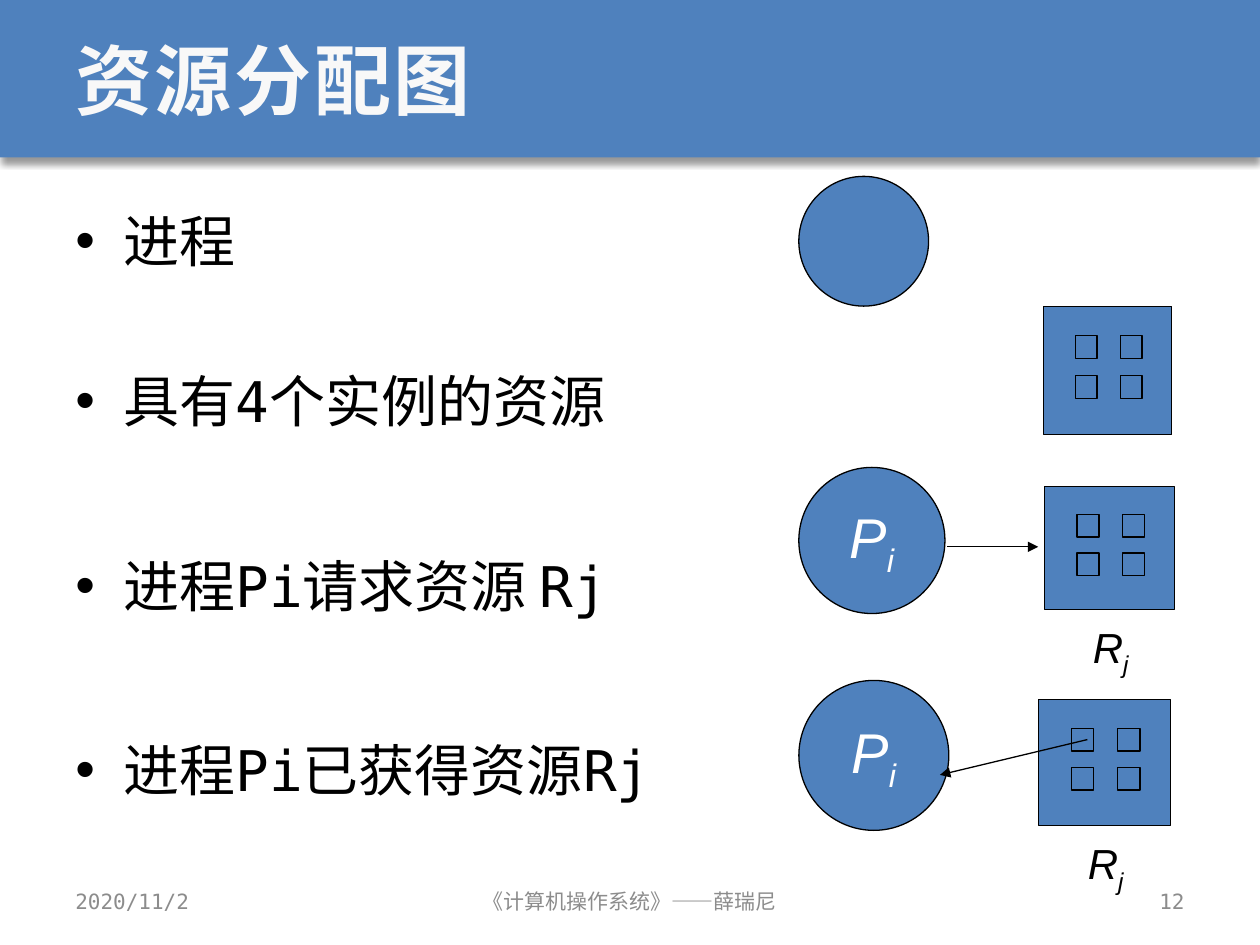
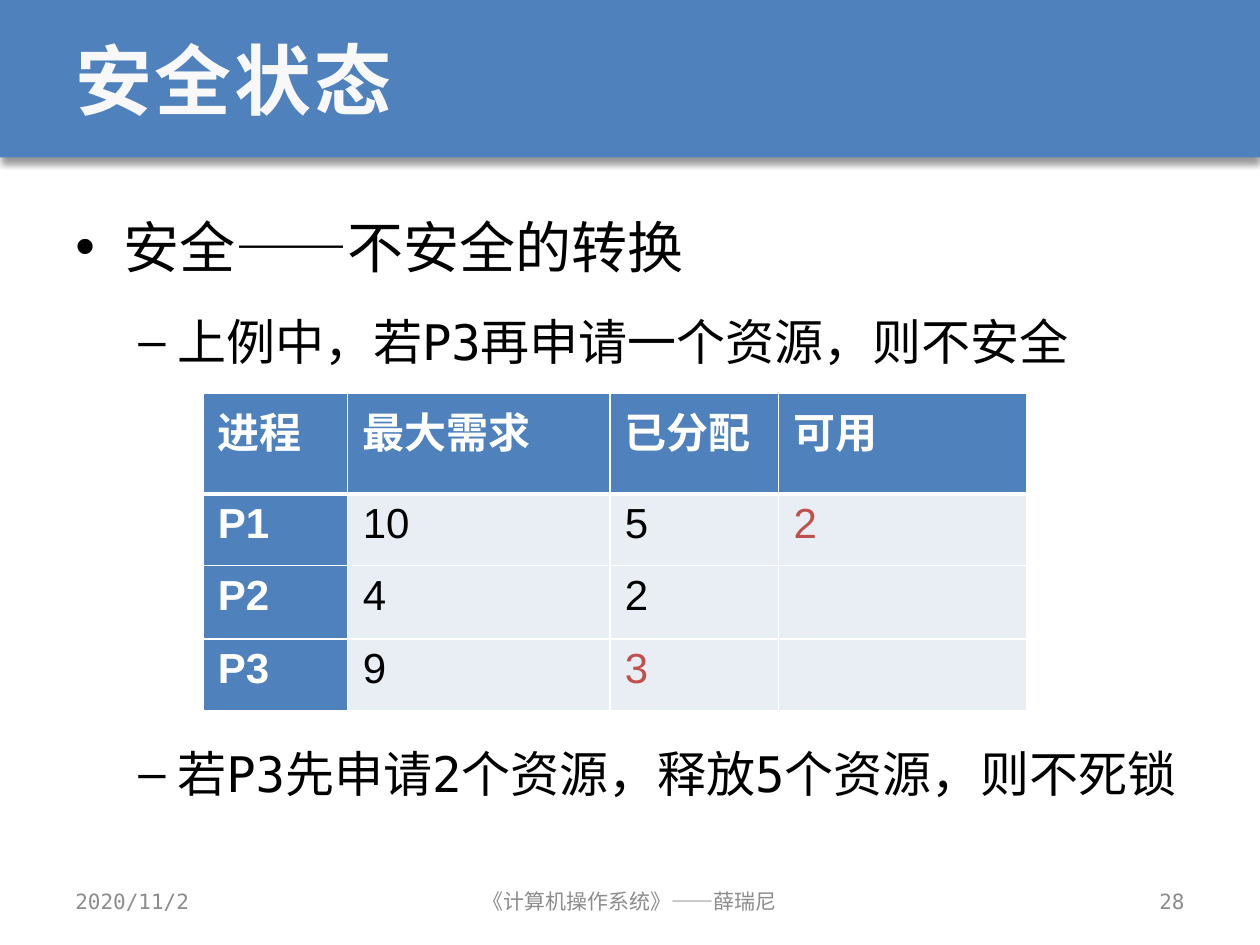
from dataclasses import dataclass
from itertools import product

from lxml.etree import SubElement
from pptx import Presentation
from pptx.dml.color import RGBColor as Rgb
from pptx.enum.shapes import MSO_CONNECTOR as Conn, MSO_SHAPE as Kind
from pptx.enum.text import MSO_ANCHOR as Anchor, PP_ALIGN as Align
from pptx.oxml.ns import qn
from pptx.util import Inches, Pt


@dataclass(frozen=True)
class Theme:
    """Colours, fonts and type sizes of the deck."""
    blue: str = "4F81BD"
    pale: str = "E9EDF4"
    red: str = "C0504D"
    white: str = "FFFFFF"
    black: str = "000000"
    gray: str = "8C8C8C"
    head: str = "F8F8F8"
    mono: str = "DejaVu Sans Mono"
    sans: str = "Arial"
    title: int = 44
    big: int = 32
    mid: int = 28
    cell: int = 24
    foot: int = 12
    line: float = 0.75


@dataclass(frozen=True)
class Box:
    """A region in units of a grid of 100 columns and 75 rows."""
    x: float
    y: float
    w: float
    h: float

    def share(self, x, y, w, h):
        """Return the region at the given shares of this one."""
        return Box(self.x + x * self.w, self.y + y * self.h,
                   w * self.w, h * self.h)

    def emu(self):
        """Return left, top, width and height as lengths."""
        return [unit(v) for v in (self.x, self.y, self.w, self.h)]


T = Theme()
PAGE = Box(0, 0, 100, 75)
BAND = Box(0, 0, 100, 12.5)
BODY = Box(5, 14.8, 90, 53.3)
FOOT = Box(5, 69.5, 90, 4)
GRID = Box(16.1, 31.2, 65.4, 25.2)
LEVELS = (("•", 0.38, -0.38, T.big), ("–", 0.81, -0.31, T.mid))


def unit(num):
    """Turn grid units into a length."""
    return Inches(num / 10)


def style(para, size, color, name=T.mono, bold=False, ital=False):
    """Set the font of a paragraph."""
    font = para.font
    font.size, font.name = Pt(size), name
    font.bold, font.italic = bold, ital
    font.color.rgb = Rgb.from_string(color)


def draw(slide, kind, box, edge=True):
    """Add a blue shape with a thin outline or none."""
    shape = slide.shapes.add_shape(kind, *box.emu())
    shape.shadow.inherit = False
    shape.fill.solid()
    shape.fill.fore_color.rgb = Rgb.from_string(T.blue)
    if edge:
        shape.line.color.rgb = Rgb.from_string(T.black)
        shape.line.width = Pt(T.line)
    else:
        shape.line.fill.background()
    return shape


def write(slide, box, text="", anchor=Anchor.MIDDLE, align=Align.LEFT):
    """Add a wrapping text box and return its frame."""
    frame = slide.shapes.add_textbox(*box.emu()).text_frame
    frame.word_wrap = True
    frame.vertical_anchor = anchor
    para = frame.paragraphs[0]
    para.text, para.alignment = text, align
    return frame


def banner(slide, box, text):
    """Draw the title band with its soft shadow."""
    band = draw(slide, Kind.RECTANGLE, box, edge=False)
    effect = band._element.spPr.find(qn("a:effectLst"))
    shade = SubElement(effect, qn("a:outerShdw"), blurRad=str(Pt(4)),
                       dist=str(Pt(3)), dir="5400000", rotWithShape="0")
    tint = SubElement(shade, qn("a:srgbClr"), val=T.black)
    SubElement(tint, qn("a:alpha"), val="40000")
    para = write(slide, box.share(0.05, 0, 0.9, 1), text).paragraphs[0]
    style(para, T.title, T.head, bold=True)
    para.font._element.set("spc", "150")


def footer(slide, box, num):
    """Write date, course and page number along the foot."""
    items = (("2020/11/2", 0, 0.26, Align.LEFT),
             ("《计算机操作系统》——薛瑞尼", 0.32, 0.36, Align.CENTER),
             (str(num), 0.74, 0.26, Align.RIGHT))
    for text, left, wide, align in items:
        frame = write(slide, box.share(left, 0, wide, 1), text, align=align)
        style(frame.paragraphs[0], T.foot, T.gray)


def bullets(slide, box, items, lead):
    """Write bullets given as level, space before and text."""
    frame = write(slide, box, anchor=Anchor.TOP)
    for i, (level, gap, text) in enumerate(items):
        para = frame.add_paragraph() if i else frame.paragraphs[0]
        mark, left, hang, size = LEVELS[level]
        para.text, para.level = text, level
        props = para._p.get_or_add_pPr()
        props.set("marL", str(Inches(left)))
        props.set("indent", str(Inches(hang)))
        SubElement(props, qn("a:buFont"), typeface=T.sans)
        SubElement(props, qn("a:buChar"), char=mark)
        para.line_spacing, para.space_before = lead, Pt(gap)
        style(para, size, T.black)


def label(frame, name, sub, size, color):
    """Write an italic name with a lowered index."""
    frame.word_wrap = False
    frame.vertical_anchor = Anchor.MIDDLE
    para = frame.paragraphs[0]
    para.alignment = Align.CENTER
    para.add_run().text = name
    low = para.add_run()
    low.text = sub
    low._r.get_or_add_rPr().set("baseline", "-25000")
    style(para, size, color, T.sans, ital=True)


def process(slide, box, named=True):
    """Draw a process as a circle."""
    disc = draw(slide, Kind.OVAL, box)
    if named:
        label(disc.text_frame, "P", "i", T.big, T.white)


def resource(slide, box, named=True):
    """Draw a resource with four instances and its name below."""
    draw(slide, Kind.RECTANGLE, box)
    for row, col in product(range(2), repeat=2):
        spot = box.share(0.25 + 0.35 * col, 0.23 + 0.31 * row, 0.17, 0.18)
        draw(slide, Kind.RECTANGLE, spot)
    if named:
        frame = write(slide, box.share(0.27, 1.07, 0.48, 0.51))
        label(frame, "R", "j", T.cell, T.black)


def arrow(slide, start, end):
    """Draw a thin arrow between two grid points."""
    link = slide.shapes.add_connector(
        Conn.STRAIGHT, *(unit(v) for v in (*start, *end)))
    link.line.color.rgb = Rgb.from_string(T.black)
    link.line.width = Pt(T.line)
    SubElement(link.line._get_or_add_ln(), qn("a:tailEnd"), type="triangle")
    SubElement(link._element.spPr, qn("a:effectLst"))


def border(cell, under):
    """Give a cell white borders, with its own lower width."""
    props = cell._tc.get_or_add_tcPr()
    for side, width in (("L", 1), ("R", 1), ("T", 1), ("B", under)):
        line = SubElement(props, qn(f"a:ln{side}"), w=str(Pt(width)))
        fill = SubElement(line, qn("a:solidFill"))
        SubElement(fill, qn("a:srgbClr"), val=T.white)


def table(slide, box, data, cols, rows, marks):
    """Fill a table whose first row and column are headings."""
    grid = slide.shapes.add_table(len(rows), len(cols), *box.emu()).table
    for col, wide in zip(grid.columns, cols):
        col.width = unit(wide)
    for row, high in zip(grid.rows, rows):
        row.height = unit(high)
    for r, c in product(range(len(rows)), range(len(cols))):
        cell, head = grid.cell(r, c), r == 0 or c == 0
        border(cell, 1 if r else 3)
        cell.fill.solid()
        cell.fill.fore_color.rgb = Rgb.from_string(T.blue if head else T.pale)
        cell.margin_left = cell.margin_right = Inches(0.12)
        cell.text = data[r][c]
        ink = T.white if head else T.red if (r, c) in marks else T.black
        style(cell.text_frame.paragraphs[0], T.cell, ink, T.sans, bold=head)


def frame_up(deck, title, num):
    """Add a blank slide with title band and footer."""
    slide = deck.slides.add_slide(deck.slide_layouts[6])
    banner(slide, BAND, title)
    footer(slide, FOOT, num)
    return slide


def graph(deck):
    """Build the slide on the resource allocation graph."""
    slide = frame_up(deck, "资源分配图", 12)
    bullets(slide, BODY, ((0, 0, "进程"),
                          (0, 45.8, "具有4个实例的资源"),
                          (0, 59.2, "进程Pi请求资源 Rj"),
                          (0, 59.2, "进程Pi已获得资源Rj")), 1.2)
    process(slide, Box(63.4, 14, 10.3, 10.3), named=False)
    resource(slide, Box(82.8, 24.3, 10.2, 10.2), named=False)
    process(slide, Box(63.4, 37.1, 11.6, 11.6))
    resource(slide, Box(82.9, 38.6, 10.3, 9.8))
    arrow(slide, (75.2, 43.4), (82.4, 43.4))
    process(slide, Box(63.4, 54, 11.9, 11.9))
    resource(slide, Box(82.4, 55.5, 10.5, 10))
    arrow(slide, (86.3, 58.7), (74.6, 61.5))


def safety(deck):
    """Build the slide on safe states."""
    slide = frame_up(deck, "安全状态", 28)
    bullets(slide, BODY, ((0, 0, "安全——不安全的转换"),
                          (1, 8, "上例中，若P3再申请一个资源，则不安全"),
                          (1, 203, "若P3先申请2个资源，释放5个资源，则不死锁")),
            1.3)
    data = (("进程", "最大需求", "已分配", "可用"),
            ("P1", "10", "5", "2"),
            ("P2", "4", "2", ""),
            ("P3", "9", "3", ""))
    table(slide, GRID, data, (11.5, 20.8, 13.4, 19.7),
          (8, 5.7, 5.8, 5.7), {(1, 3), (3, 2)})


def main():
    """Build and save the deck."""
    deck = Presentation()
    deck.slide_width, deck.slide_height = unit(PAGE.w), unit(PAGE.h)
    graph(deck)
    safety(deck)
    deck.save("out.pptx")


if __name__ == "__main__":
    main()
